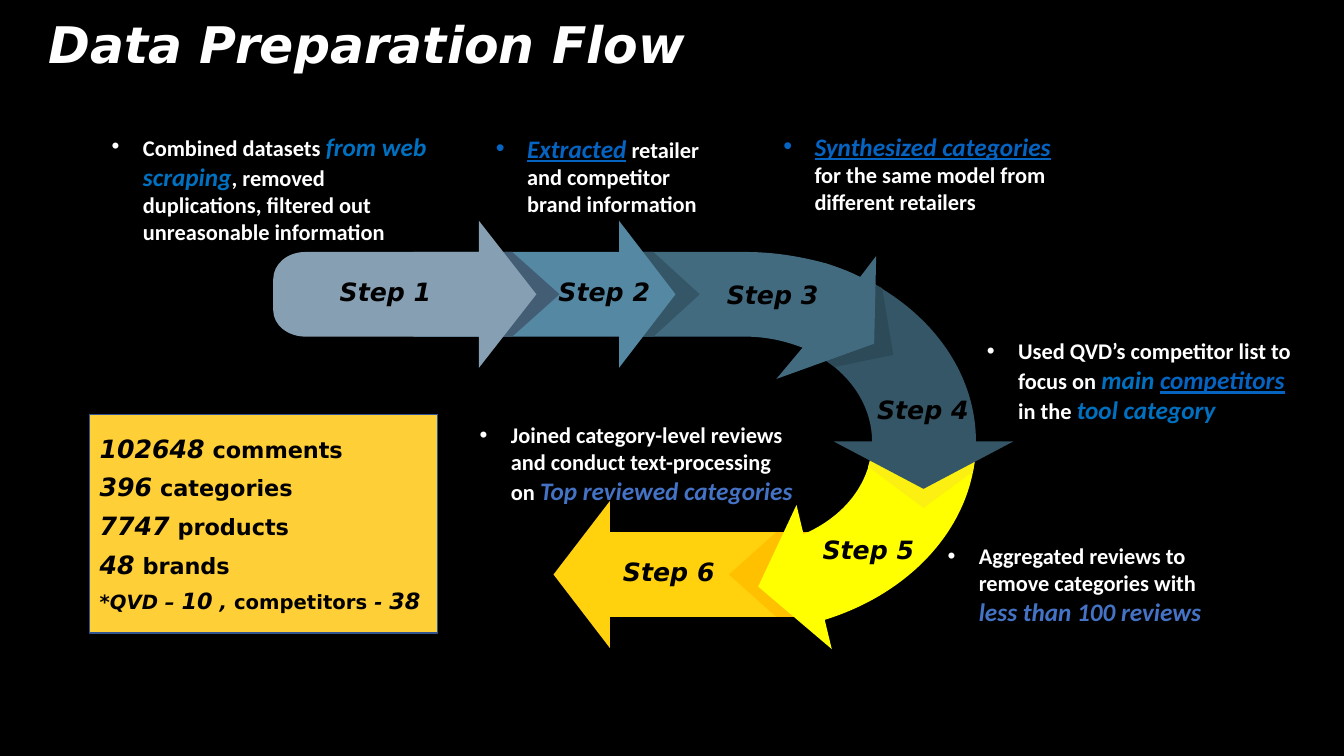
from lxml import etree
from pptx import Presentation
from pptx import util as u
from pptx.dml.color import RGBColor
from pptx.enum import shapes, text
from pptx.oxml import ns

PX = 9144  # EMU per px, 100 px to the inch
THEME = {
    "heading": "DejaVu Sans", "body": "Calibri",
    "title": 36, "large": 18, "medium": 16, "small": 14,
    "background": "000000", "white": "FFFFFF", "black": "000000",
    "blue": "0070C0", "link": "0563C1", "accent": "4472C4",
    "panel": "FFCF37", "panel_line": "325491",
}
# Run styles: font, size, colour, italic, underline
STYLES = {
    "title": ("heading", "title", "white", True, False),
    "step": ("heading", "large", "black", True, False),
    "plain": ("body", "medium", "white", False, False),
    "blue": ("body", "large", "blue", True, False),
    "link": ("body", "large", "link", True, True),
    "accent": ("body", "large", "accent", True, False),
    "count": ("heading", "large", "black", True, False),
    "label": ("heading", "medium", "black", False, False),
    "subcount": ("heading", "medium", "black", True, False),
    "note": ("heading", "small", "black", True, False),
    "sublabel": ("heading", "small", "black", False, False),
}


def add_runs(paragraph, runs):
    for words, style in runs:
        face, size, colour, italic, underline = STYLES[style]
        run = paragraph.add_run()
        run.text = words
        formats = {"name": THEME[face], "size": u.Pt(THEME[size]), "bold": True,
                   "italic": italic, "underline": underline}
        for key, value in formats.items():
            setattr(run.font, key, value)
        run.font.color.rgb = RGBColor.from_string(THEME[colour])


def add_text(slide, box, runs, **frame_formats):
    shape = slide.shapes.add_textbox(*(n * PX for n in box))
    shape.text_frame.word_wrap = True
    for key, value in frame_formats.items():
        setattr(shape.text_frame, key, value)
    paragraph = shape.text_frame.paragraphs[0]
    add_runs(paragraph, runs)
    return paragraph


presentation = Presentation()
presentation.slide_width, presentation.slide_height = 1333 * PX, 750 * PX
slide = presentation.slides.add_slide(presentation.slide_layouts[6])
slide.background.fill.solid()
slide.background.fill.fore_color.rgb = RGBColor.from_string(THEME["background"])

# Translucent footer band
band = slide.shapes.add_shape(shapes.MSO_SHAPE.RECTANGLE,
                              *(n * PX for n in (0, 707, 1333, 43)))
band.shadow.inherit = False
band.fill.solid()
band.fill.fore_color.rgb = RGBColor.from_string(THEME["black"])
band_colour = band._element.spPr.find(".//" + ns.qn("a:srgbClr"))
etree.SubElement(band_colour, ns.qn("a:alpha"), val="54000")
band.line.fill.background()

# Title
title = add_text(slide, (38, 0, 1203, 94), [("Data Preparation Flow", "title")],
                 vertical_anchor=text.MSO_ANCHOR.MIDDLE)
title.line_spacing = 0.9

# Arrow track, back to front: two numbers are a corner, six are a Bézier curve
ARROWS = [
    ("FFD20D", [(605, 497), (605, 528), (809, 528), (809, 612), (605, 612), (605, 643),
                (549, 570)]),
    ("FFC000", [(803, 528), (803, 612), (770, 612), (723, 570), (770, 528)]),
    ("FFFF00", [(865, 438), (865, 477, 839, 512, 797, 530), (790, 501), (752, 582),
                (825, 644), (818, 615), (908, 587, 968, 517, 968, 438)]),
    ("FBF011", [(865, 438), (865, 447, 864, 455, 861, 463), (916, 504), (965, 468),
                (967, 458, 968, 448, 968, 438)]),
    ("355666", [(818, 261), (818, 357), (848, 377, 865, 407, 865, 438), (827, 438),
                (916, 485), (1005, 438), (968, 438), (968, 359, 908, 289, 818, 261)]),
    ("2D4A58", [(853, 275), (818, 318), (818, 357), (821, 359, 825, 362, 828, 364),
                (886, 352), (875, 286), (868, 282, 860, 278, 853, 275)]),
    ("426B80", [(614, 250), (614, 334), (739, 334), (759, 334, 778, 338, 796, 345),
                (770, 376), (867, 341), (869, 254), (853, 275),
                (842, 269, 830, 265, 818, 261), (792, 254, 766, 250, 739, 250)]),
    ("355666", [(614, 250), (614, 334), (648, 334), (694, 292), (648, 250)]),
    ("5488A3", [(614, 219), (614, 250), (410, 250), (410, 334), (614, 334), (614, 365),
                (670, 292)]),
    ("435D74", [(475, 250), (475, 334), (508, 334), (555, 292), (508, 250)]),
    ("869FB2", [(475, 219), (475, 250), (303, 250), (285, 250, 271, 262, 271, 277),
                (271, 308), (271, 322, 285, 334, 303, 334), (475, 334), (475, 365),
                (532, 292)]),
]
track = slide.shapes.add_group_shape()
for colour, outline in ARROWS:
    points = [segment[n:n + 2] for segment in outline for n in range(0, len(segment), 2)]
    builder = track.shapes.build_freeform(*points[0], scale=float(PX))
    builder.add_line_segments(points[1:], close=True)
    arrow = builder.convert_to_shape()
    # Join the three points of each curve into one Bézier segment
    sides = iter(arrow._element.findall(".//" + ns.qn("a:lnTo")))
    for segment in outline[1:]:
        side = next(sides)
        if len(segment) == 6:
            side.tag = ns.qn("a:cubicBezTo")
            for _ in range(2):
                extra = next(sides)
                side.append(extra[0])
                extra.getparent().remove(extra)
    arrow.shadow.inherit = False
    arrow.fill.solid()
    arrow.fill.fore_color.rgb = RGBColor.from_string(colour)
    arrow.line.fill.background()

# Step labels
STEP_CORNERS = [(327, 267), (544, 267), (711, 270), (860, 385), (806, 523), (608, 545)]
for number, (left, top) in enumerate(STEP_CORNERS, start=1):
    label = add_text(slide, (left, top, 139, 42), [(f"Step {number}", "step")],
                     margin_top=10 * PX, margin_bottom=10 * PX)
    label.line_spacing = 0.9

# Bulleted step descriptions
DESCRIPTIONS = [
    ((101, 125, 345, 125), [
        ("Combined datasets ", "plain"), ("from web scraping", "blue"),
        (", removed duplications, filtered out unreasonable information", "plain")]),
    ((482, 127, 229, 94), [
        ("Extracted", "link"), (" retailer and competitor brand information", "plain")]),
    ((767, 125, 298, 94), [
        ("Synthesized categories ", "link"),
        ("for the same model from different retailers", "plain")]),
    ((969, 330, 322, 98), [
        ("Used QVD’s competitor list to focus on ", "plain"), ("main ", "blue"),
        ("competitors ", "link"), ("in the ", "plain"), ("tool category", "blue")]),
    ((930, 533, 296, 98), [
        ("Aggregated reviews to remove categories with ", "plain"),
        ("less than 100 reviews", "accent")]),
    ((466, 413, 336, 94), [
        ("Joined category-level reviews and conduct text-processing on ", "plain"),
        ("Top reviewed categories", "accent")]),
]
INDENT = 31 * PX
for box, runs in DESCRIPTIONS:
    paragraph = add_text(slide, box, runs, auto_size=text.MSO_AUTO_SIZE.SHAPE_TO_FIT_TEXT)
    properties = paragraph._p.get_or_add_pPr()
    properties.set("marL", str(INDENT))
    properties.set("indent", str(-INDENT))
    etree.SubElement(properties, ns.qn("a:buFont"), typeface="Arial")
    etree.SubElement(properties, ns.qn("a:buChar"), char="•")

# Totals panel
panel = slide.shapes.add_shape(shapes.MSO_SHAPE.RECTANGLE,
                               *(n * PX for n in (89, 411, 345, 217)))
panel.shadow.inherit = False
panel.fill.solid()
panel.fill.fore_color.rgb = RGBColor.from_string(THEME["panel"])
panel.line.color.rgb = RGBColor.from_string(THEME["panel_line"])
panel.line.width = u.Pt(1)
TOTALS = [("102648", "comments"), ("396", "categories"), ("7747", "products"),
          ("48", "brands")]
lines = [[(count, "count"), (f" {noun}", "label")] for count, noun in TOTALS]
lines.append([("*QVD – ", "note"), ("10", "subcount"), (" , ", "note"),
              ("competitors", "sublabel"), (" - ", "note"), ("38", "subcount")])
frame = panel.text_frame
frame.word_wrap = True
frame.vertical_anchor = text.MSO_ANCHOR.MIDDLE
for index, runs in enumerate(lines):
    paragraph = frame.add_paragraph() if index else frame.paragraphs[0]
    paragraph.alignment = text.PP_ALIGN.LEFT
    paragraph.space_after = u.Pt(6)
    add_runs(paragraph, runs)

presentation.save("out.pptx")
